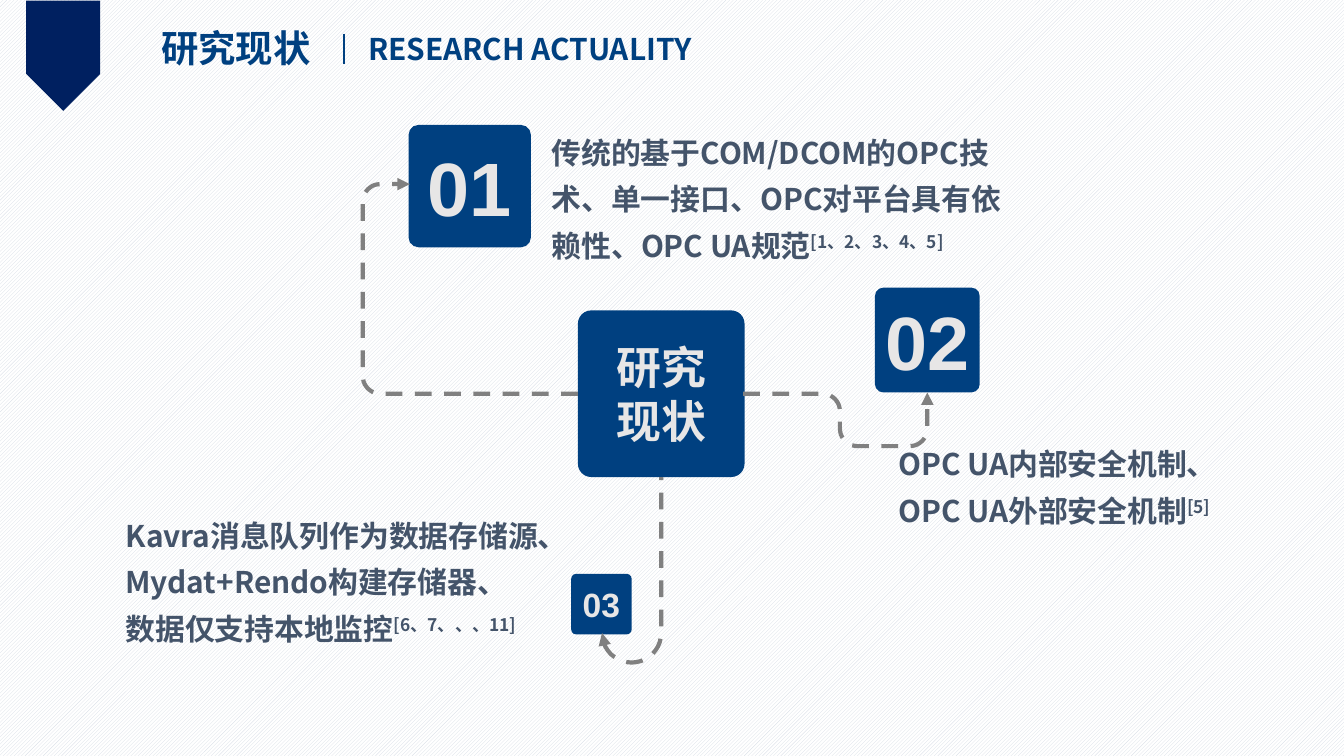
from dataclasses import dataclass
from math import cos, dist, pi, sin

from lxml.etree import SubElement
from pptx import Presentation
from pptx.dml.color import RGBColor
from pptx.enum.dml import MSO_LINE, MSO_PATTERN
from pptx.enum.shapes import MSO_CONNECTOR, MSO_SHAPE
from pptx.enum.text import MSO_ANCHOR, MSO_AUTO_SIZE, PP_ALIGN
from pptx.oxml.ns import qn
from pptx.util import Inches, Pt


@dataclass(frozen=True)
class Theme:
    navy: str = "002060"
    blue: str = "004080"
    pale: str = "E7E6E6"
    slate: str = "44546A"
    gray: str = "808080"
    hatch: str = "D6DCE5"
    white: str = "FFFFFF"
    latin: str = "Arial"
    hans: str = "Noto Sans CJK SC"
    body: float = 16
    title: float = 20
    hub: float = 24
    big: float = 40.5
    small: float = 18


THEME = Theme()
INSET = Inches(0.15) // 2


def color(code):
    return RGBColor.from_string(code)


def apply(item, values):
    for name, value in values.items():
        setattr(item, name, value)


def write(para, text, size, code, face, base=0):
    run = para.add_run()
    run.text = text
    apply(run.font, {"size": Pt(size), "bold": True, "name": face})
    run.font.color.rgb = color(code)
    props = run._r.get_or_add_rPr()
    SubElement(props, qn("a:ea")).set("typeface", THEME.hans)
    if base:
        props.set("baseline", str(base * 1000))


def paint(shape, code):
    shape.shadow.inherit = False
    shape.fill.solid()
    shape.fill.fore_color.rgb = color(code)
    shape.line.fill.background()


def lines(frame):
    yield frame.paragraphs[0]
    while True:
        yield frame.add_paragraph()


def tile(slide, left, top, side, texts, size):
    shape = slide.shapes.add_shape(
        MSO_SHAPE.ROUNDED_RECTANGLE, *map(Inches, (left, top, side, side)))
    shape.adjustments[0] = 0.08
    paint(shape, THEME.blue)
    frame = shape.text_frame
    apply(frame, {
        "word_wrap": False, "vertical_anchor": MSO_ANCHOR.MIDDLE,
        "margin_left": INSET, "margin_right": INSET,
        "margin_top": Inches(0.04), "margin_bottom": Inches(0.04)})
    for text, para in zip(texts, lines(frame)):
        para.alignment = PP_ALIGN.CENTER
        write(para, text, size, THEME.pale, THEME.latin)


def note(slide, left, top, width, height, rows):
    box = slide.shapes.add_textbox(*map(Inches, (left, top, width, height)))
    frame = box.text_frame
    apply(frame, {
        "word_wrap": True, "auto_size": MSO_AUTO_SIZE.SHAPE_TO_FIT_TEXT,
        "margin_left": INSET, "margin_right": INSET,
        "margin_top": 0, "margin_bottom": 0})
    for (text, cite), para in zip(rows, lines(frame)):
        para.line_spacing = 1.3
        write(para, text, THEME.body, THEME.slate, THEME.hans)
        if cite:
            write(para, cite, THEME.body, THEME.slate, THEME.hans, 30)


def bend(prev, spot, after, radius, steps=10):
    u, v = ([(e - s) / dist(end, spot) for e, s in zip(end, spot)]
            for end in (prev, after))
    for step in range(steps + 1):
        turn = step * pi / 2 / steps
        yield tuple(
            s + radius * (a * (1 - sin(turn)) + b * (1 - cos(turn)))
            for s, a, b in zip(spot, u, v))


def route(slide, spots, radius, end):
    trail = [spots[0]]
    for trio in zip(spots, spots[1:], spots[2:]):
        trail.extend(bend(*trio, radius))
    trail.append(spots[-1])
    trail = list(dict.fromkeys((round(x, 3), round(y, 3)) for x, y in trail))
    points = [(Inches(x), Inches(y)) for x, y in trail]
    maker = slide.shapes.build_freeform(*points[0])
    maker.add_line_segments(points[1:], close=False)
    shape = maker.convert_to_shape()
    shape.shadow.inherit = False
    shape.fill.background()
    shape.line.color.rgb = color(THEME.gray)
    apply(shape.line, {"width": Pt(2.25), "dash_style": MSO_LINE.DASH})
    SubElement(shape.line._get_or_add_ln(), qn(f"a:{end}")).set("type", "triangle")


def header(slide, left, top):
    flag = slide.shapes.add_shape(
        MSO_SHAPE.PENTAGON,
        *map(Inches, (left + 0.06, top + 0.14, 0.82, 0.55)))
    flag.rotation = 90
    paint(flag, THEME.navy)
    for x, y, width, height, text, size in (
            (1.1, 0.14, 1.31, 0.44, "研究现状", THEME.title),
            (2.64, 0.18, 2.73, 0.37, "RESEARCH ACTUALITY", THEME.body)):
        box = slide.shapes.add_textbox(
            *map(Inches, (left + x, top + y, width, height)))
        apply(box.text_frame, {
            "word_wrap": False, "auto_size": MSO_AUTO_SIZE.SHAPE_TO_FIT_TEXT})
        write(box.text_frame.paragraphs[0], text, size, THEME.blue, THEME.hans)
    x = left + 2.56
    rule = slide.shapes.add_connector(
        MSO_CONNECTOR.STRAIGHT, *map(Inches, (x, top + 0.25, x, top + 0.48)))
    rule.line.color.rgb = color(THEME.blue)
    rule.line.width = Pt(1.5)
    SubElement(rule._element.spPr, qn("a:effectLst"))


def diagram(slide, left, top):
    for x, y, side, texts, size in (
            (3.8, 1.41, 1.24, ("研究", "现状"), THEME.hub),
            (6.01, 1.24, 0.78, ("02",), THEME.big),
            (2.54, 0.03, 0.91, ("01",), THEME.big),
            (3.75, 3.37, 0.45, ("03",), THEME.small)):
        tile(slide, left + x, top + y, side, texts, size)
    for spots, radius, end in (
            (((3.8, 2.03), (2.2, 2.03), (2.2, 0.47), (2.55, 0.47)),
             0.13, "tailEnd"),
            (((5.03, 2.03), (5.75, 2.03), (5.75, 2.42), (6.4, 2.42),
              (6.4, 2.02)), 0.13, "tailEnd"),
            (((3.98, 3.81), (3.98, 4.03), (4.42, 4.03), (4.42, 2.65)),
             0.22, "headEnd")):
        route(slide, [(left + x, top + y) for x, y in spots], radius, end)
    for x, y, width, height, rows in (
            (3.53, 0.02, 3.61, 1.05, (
                ("传统的基于COM/DCOM的OPC技术、单一接口、OPC对平台具有依赖性、OPC UA规范",
                 "[1、2、3、4、5]"),)),
            (0.36, 2.87, 3.3, 1.05, (
                ("Kavra消息队列作为数据存储源、Mydat+Rendo构建存储器、", ""),
                ("数据仅支持本地监控", "[6、7、、、11]"))),
            (6.11, 2.34, 2.9, 0.7, (
                ("OPC UA内部安全机制、", ""),
                ("OPC UA外部安全机制", "[5]")))):
        note(slide, left + x, top + y, width, height, rows)


def main():
    deck = Presentation()
    wide = Inches(10)
    apply(deck, {"slide_width": wide, "slide_height": wide * 9 // 16})
    slide = deck.slides.add_slide(deck.slide_layouts[6])
    fill = slide.background.fill
    fill.patterned()
    fill.pattern = MSO_PATTERN.LIGHT_UPWARD_DIAGONAL
    fill.fore_color.rgb = color(THEME.hatch)
    fill.back_color.rgb = color(THEME.white)
    header(slide, 0, 0)
    diagram(slide, 0.5, 0.9)
    deck.save("out.pptx")


if __name__ == "__main__":
    main()
